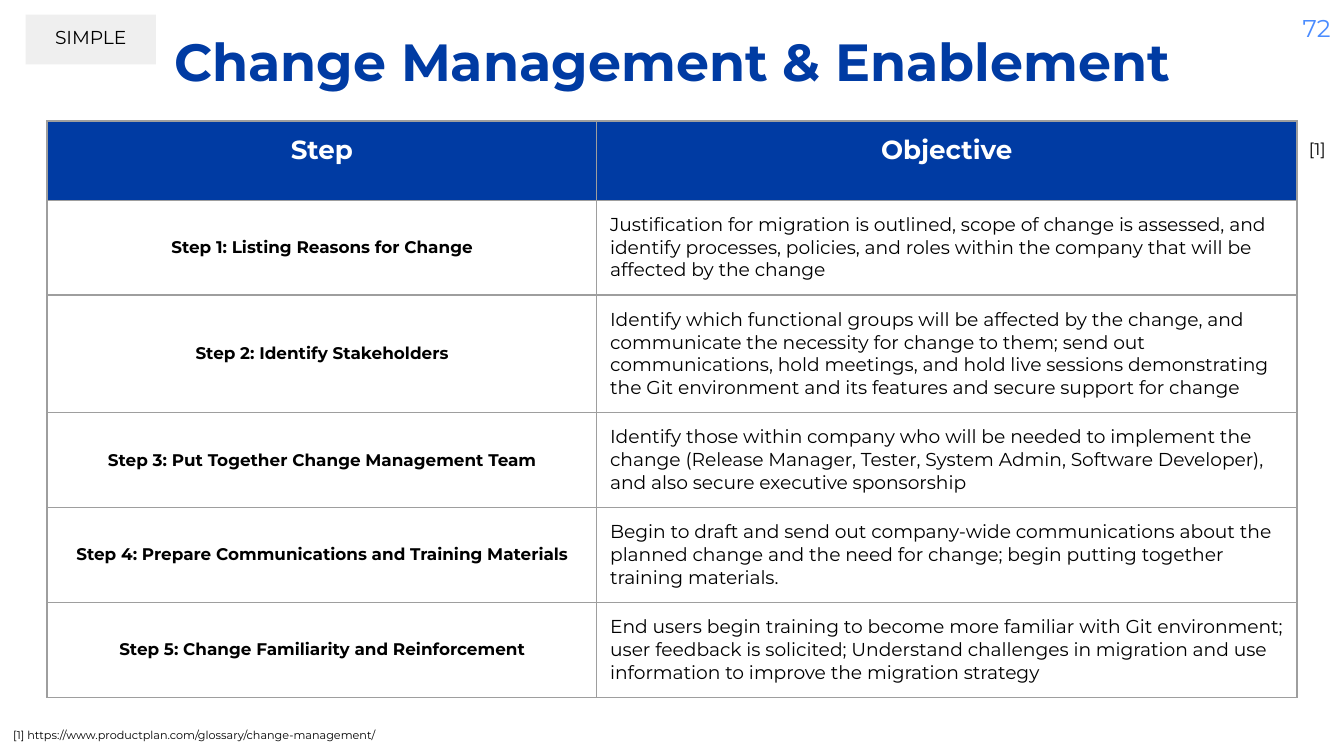
from lxml.etree import SubElement
from pptx import Presentation
from pptx.dml.color import RGBColor
from pptx.enum.shapes import MSO_SHAPE
from pptx.enum.text import MSO_ANCHOR, MSO_AUTO_SIZE, PP_ALIGN
from pptx.oxml.ns import qn
from pptx.util import Inches, Pt

FONT = "Montserrat"
COLORS = {
    "blue": "003BA3",
    "light_blue": "4A8CFF",
    "tag": "EFEFEF",
    "border": "9E9E9E",
    "black": "000000",
    "white": "FFFFFF",
}
HEADERS = ["Step", "Objective"]
STEPS = [
    ("Step 1: Listing Reasons for Change",
     "Justification for migration is outlined, scope of change is assessed, and identify "
     "processes, policies, and roles within the company that will be affected by the change"),
    ("Step 2: Identify Stakeholders",
     "Identify which functional groups will be affected by the change, and communicate the "
     "necessity for change to them; send out communications, hold meetings, and hold live "
     "sessions demonstrating the Git environment and its features and secure support for change"),
    ("Step 3: Put Together Change Management Team",
     "Identify those within company who will be needed to implement the change (Release "
     "Manager, Tester, System Admin, Software Developer), and also secure executive sponsorship"),
    ("Step 4: Prepare Communications and Training Materials",
     "Begin to draft and send out company-wide communications about the planned change and "
     "the need for change; begin putting together training materials."),
    ("Step 5: Change Familiarity and Reinforcement",
     "End users begin training to become more familiar with Git environment; user feedback is "
     "solicited; Understand challenges in migration and use information to improve the "
     "migration strategy"),
]
COLUMN_WIDTHS = [4.09, 5.21]
ROW_HEIGHTS = [0.59, 0.7, 0.87, 0.7, 0.7, 0.7]


def rgb(name):
    return RGBColor.from_string(COLORS[name])


def write(tf, text, size, color="black", bold=False, align=PP_ALIGN.LEFT):
    p = tf.paragraphs[0]
    p.alignment = align
    r = p.add_run()
    r.text = text
    r.font.name = FONT
    r.font.size = Pt(size)
    r.font.bold = bold
    r.font.color.rgb = rgb(color)


def set_frame(tf, inset_top=0.1):
    tf.word_wrap = True
    tf.auto_size = MSO_AUTO_SIZE.NONE
    tf.vertical_anchor = MSO_ANCHOR.TOP
    tf.margin_left = tf.margin_right = tf.margin_bottom = Inches(0.1)
    tf.margin_top = Inches(inset_top)


def add_title(s, text, left, top, width, height):
    sp = s.shapes.title
    sp.left, sp.top = Inches(left), Inches(top)
    sp.width, sp.height = Inches(width), Inches(height)
    set_frame(sp.text_frame)
    write(sp.text_frame, text, 28, "blue", True, PP_ALIGN.CENTER)


def add_label(s, text, left, top, width, height, size, inset_top=0.1, **style):
    sp = s.shapes.add_textbox(Inches(left), Inches(top), Inches(width), Inches(height))
    set_frame(sp.text_frame, inset_top)
    write(sp.text_frame, text, size, **style)


def add_tag(s, text, left, top, width, height):
    sp = s.shapes.add_shape(MSO_SHAPE.RECTANGLE, Inches(left), Inches(top),
                            Inches(width), Inches(height))
    sp.shadow.inherit = False
    sp.fill.solid()
    sp.fill.fore_color.rgb = rgb("tag")
    sp.line.fill.background()
    set_frame(sp.text_frame, 0.08)
    write(sp.text_frame, text, 10, align=PP_ALIGN.CENTER)


def set_borders(cell):
    props = cell._tc.get_or_add_tcPr()
    for i, side in enumerate(("a:lnL", "a:lnR", "a:lnT", "a:lnB")):
        line = props.makeelement(qn(side), {"w": str(Pt(0.75))})
        fill = SubElement(line, qn("a:solidFill"))
        SubElement(fill, qn("a:srgbClr"), val=COLORS["border"])
        props.insert(i, line)


def fill_cell(cell, text, color, anchor, *style):
    if color:
        cell.fill.solid()
        cell.fill.fore_color.rgb = rgb(color)
    else:
        cell.fill.background()
    cell.vertical_anchor = anchor
    cell.margin_left = cell.margin_right = Inches(0.1)
    cell.margin_top = cell.margin_bottom = Inches(0.1)
    write(cell.text_frame, text, *style)
    set_borders(cell)


def add_steps_table(s, left, top):
    table = s.shapes.add_table(len(ROW_HEIGHTS), len(COLUMN_WIDTHS), Inches(left), Inches(top),
                               Inches(sum(COLUMN_WIDTHS)), Inches(sum(ROW_HEIGHTS))).table
    for column, width in zip(table.columns, COLUMN_WIDTHS):
        column.width = Inches(width)
    for row, height in zip(table.rows, ROW_HEIGHTS):
        row.height = Inches(height)
    for i, header in enumerate(HEADERS):
        fill_cell(table.cell(0, i), header, "blue", MSO_ANCHOR.TOP,
                  14, "white", True, PP_ALIGN.CENTER)
    for i, (step, objective) in enumerate(STEPS, 1):
        fill_cell(table.cell(i, 0), step, None, MSO_ANCHOR.MIDDLE,
                  9, "black", True, PP_ALIGN.CENTER)
        fill_cell(table.cell(i, 1), objective, None, MSO_ANCHOR.TOP, 10)


def main():
    prs = Presentation()
    prs.slide_width = Inches(10)
    prs.slide_height = prs.slide_width * 9 // 16
    s = prs.slides.add_slide(prs.slide_layouts[5])
    add_title(s, "Change Management & Enablement", 0.78, 0.12, 8.44, 0.63)
    add_label(s, "72", 9.4, 0, 0.6, 0.43, 13, color="light_blue", align=PP_ALIGN.RIGHT)
    add_steps_table(s, 0.35, 0.9)
    add_label(s, "[1]", 9.64, 0.96, 0.36, 0.35, 9, inset_top=0.07)
    add_label(s, "[1] https://www.productplan.com/glossary/change-management/",
              0, 5.37, 7.66, 0.25, 6, inset_top=0.05)
    add_tag(s, "SIMPLE", 0.19, 0.11, 0.97, 0.37)
    prs.save("out.pptx")


if __name__ == "__main__":
    main()
